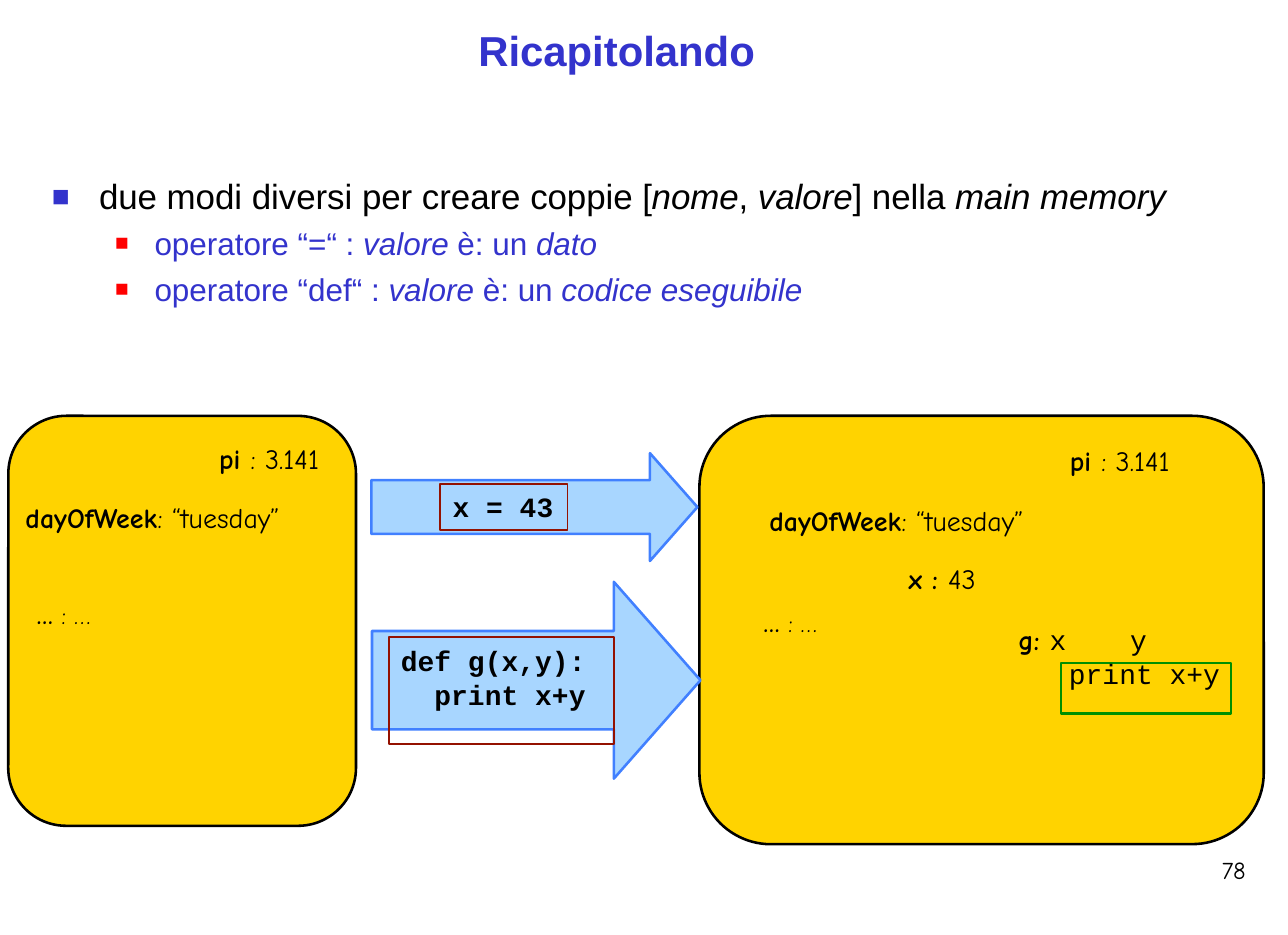
from lxml.etree import SubElement
from pptx import Presentation
from pptx.dml.color import RGBColor
from pptx.enum.shapes import MSO_SHAPE as Shape
from pptx.enum.text import MSO_ANCHOR as Anchor, PP_ALIGN as Align
from pptx.oxml.ns import qn
from pptx.util import Pt

COLORS = {"title": "3333CC", "text": "000000", "bullet": "FF0000", "memory": "FFD300",
          "arrow": "A8D6FF", "arrow_line": "4180FF", "code": "941100", "body": "008F00"}

STYLES = {"title": ("Arial", 12, "title"), "main": ("Arial", 10, "text"),
          "sub": ("Arial", 9, "title"), "name": ("Comic Neue", 8, "text"),
          "small": ("Comic Neue", 7, "text"), "code": ("Courier New", 8, "text")}

BULLETS = {"main": ("title", 85, -13.5), "sub": ("bullet", 72, -11.3)}

MEMORIES = [(2.4, 119.2, 99.6, 117.5), (200.4, 119.2, 161.7, 122.8)]
ARROWS = [(106.4, 129.9, 93.4, 30.9, 0.44), (106.6, 166.8, 94.1, 56.4, 0.44)]

PI = [("pi ", "name", "b"), (": 3.141", "name", "")]
DAY = [("dayOfWeek", "name", "b"), (": “tuesday”", "name", "")]
OTHERS = [("… ", "small", "b"), (": …", "small", "")]

TITLE = (136, 7.1, 81.5, 16, [(0, 0, [("Ricapitolando", "title", "b")])])
POINTS = (13.8, 50.2, 330, 42, [
    (14.6, 0, [("due modi diversi per creare coppie [", "main", ""), ("nome", "main", "i"),
               (", ", "main", ""), ("valore", "main", "i"), ("] nella ", "main", ""),
               ("main memory", "main", "i")]),
    (30.5, 2.1, [("operatore “=“ : ", "sub", ""), ("valore ", "sub", "i"),
                 ("è: un ", "sub", ""), ("dato", "sub", "i")]),
    (30.5, 2.2, [("operatore “def“ : ", "sub", ""), ("valore ", "sub", "i"),
                 ("è: un ", "sub", ""), ("codice eseguibile", "sub", "i")]),
])
LABELS = [
    (349.4, 245, 14, 10, [(0.7, 0, [("78", "small", "")])]),
    (6.6, 126.7, 92, 28, [(56.2, 0, PI), (0.7, 7.1, DAY)]),
    (9.8, 172, 24, 10, [(0.7, 0, OTHERS)]),
    (305.8, 127.3, 40, 11, [(0.7, 0, PI)]),
    (218, 174.4, 24, 10, [(0.7, 0, OTHERS)]),
    (219.7, 144.4, 90, 28, [(0.7, 0, DAY),
                            (40.6, 7.1, [("x : ", "name", "b"), ("43", "name", "")])]),
    (291.1, 178.5, 62, 11, [(0.7, 0, [("g: ", "name", "b"), ("x\ty", "code", "")])]),
]
FRAMES = [
    (126.1, 138.6, 36.5, 13.4, "code", 0.5, 1.6, None, [(3.6, 0, [("x = 43", "code", "b")])]),
    (111.5, 182.6, 64.4, 30.6, "code", 0.5, 1.8, None,
     [(3.4, 0, [("def g(x,y):", "code", "b")]),
      (3.4, 0.3, [("  print x+y", "code", "b")])]),
    (304, 190, 48.7, 14.6, "body", 0.75, 0, 7.8, [(2.3, 0, [("print x+y", "code", "")])]),
]
TAB_STOP = 32


def color(name):
    return RGBColor.from_string(COLORS[name])


def add_bullet(props, name, size, hanging):
    props.set("indent", str(Pt(hanging)))
    holder = SubElement(props, qn("a:buClr"))
    SubElement(holder, qn("a:srgbClr"), val=COLORS[name])
    SubElement(props, qn("a:buSzPct"), val=str(size * 1000))
    SubElement(props, qn("a:buFont"), typeface="Arial")
    SubElement(props, qn("a:buChar"), char="■")


def write(box, paras, top=0, align=Align.LEFT, spacing=None):
    frame = box.text_frame
    frame.word_wrap = True
    frame.margin_left = frame.margin_right = frame.margin_bottom = 0
    frame.margin_top = Pt(top)
    frame.vertical_anchor = Anchor.TOP
    for number, (indent, before, spans) in enumerate(paras):
        para = frame.add_paragraph() if number else frame.paragraphs[0]
        para.alignment = align
        if before:
            para.space_before = Pt(before)
        if spacing:
            para.line_spacing = Pt(spacing)
        props = para._p.get_or_add_pPr()
        props.set("marL", str(Pt(indent)))
        if spans[0][1] in BULLETS:
            add_bullet(props, *BULLETS[spans[0][1]])
        if any("\t" in words for words, _, _ in spans):
            tabs = SubElement(props, qn("a:tabLst"))
            SubElement(tabs, qn("a:tab"), pos=str(Pt(TAB_STOP)), algn="l")
        for words, style, marks in spans:
            span = para.add_run()
            span.text = words
            font, size, ink = STYLES[style]
            span.font.name, span.font.size = font, Pt(size)
            span.font.bold, span.font.italic = "b" in marks, "i" in marks
            span.font.color.rgb = color(ink)


def add_figure(page, kind, place, fill, line, width):
    figure = page.shapes.add_shape(kind, *map(Pt, place))
    figure.shadow.inherit = False
    if fill:
        figure.fill.solid()
        figure.fill.fore_color.rgb = color(fill)
    else:
        figure.fill.background()
    figure.line.color.rgb = color(line)
    figure.line.width = Pt(width)
    return figure


def add_label(page, label, align=Align.LEFT):
    *place, paras = label
    write(page.shapes.add_textbox(*map(Pt, place)), paras, align=align)


def main():
    """Build the recap slide on names and values in main memory."""
    deck = Presentation()
    deck.slide_width, deck.slide_height = Pt(369), Pt(268)
    page = deck.slides.add_slide(deck.slide_layouts[6])
    add_label(page, TITLE, Align.CENTER)
    add_label(page, POINTS)
    for place in MEMORIES:
        add_figure(page, Shape.ROUNDED_RECTANGLE, place, "memory", "text", 0.75)
    for *place, head in ARROWS:
        arrow = add_figure(page, Shape.RIGHT_ARROW, place, "arrow", "arrow_line", 0.75)
        arrow.adjustments[1] = head
    for label in LABELS:
        add_label(page, label)
    for *place, line, width, top, spacing, paras in FRAMES:
        frame = add_figure(page, Shape.RECTANGLE, place, None, line, width)
        write(frame, paras, top, spacing=spacing)
    deck.save("out.pptx")


if __name__ == "__main__":
    main()
